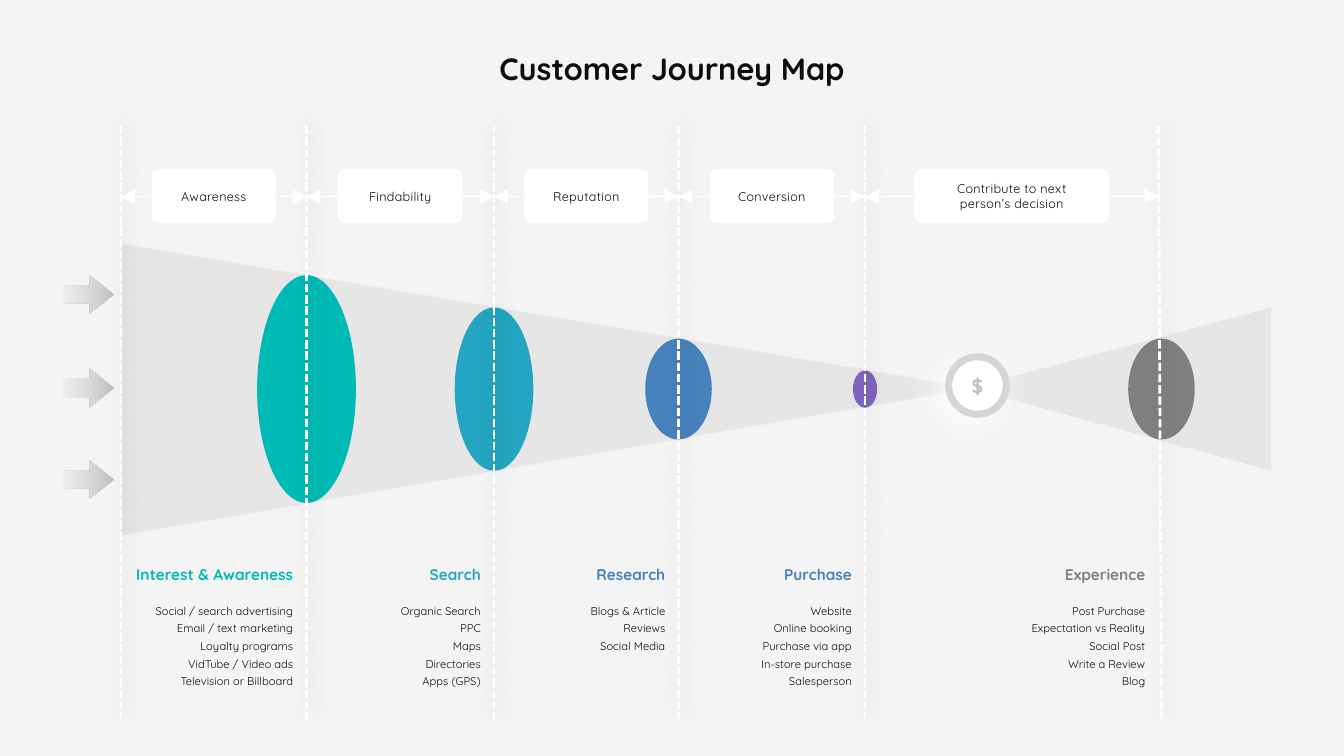
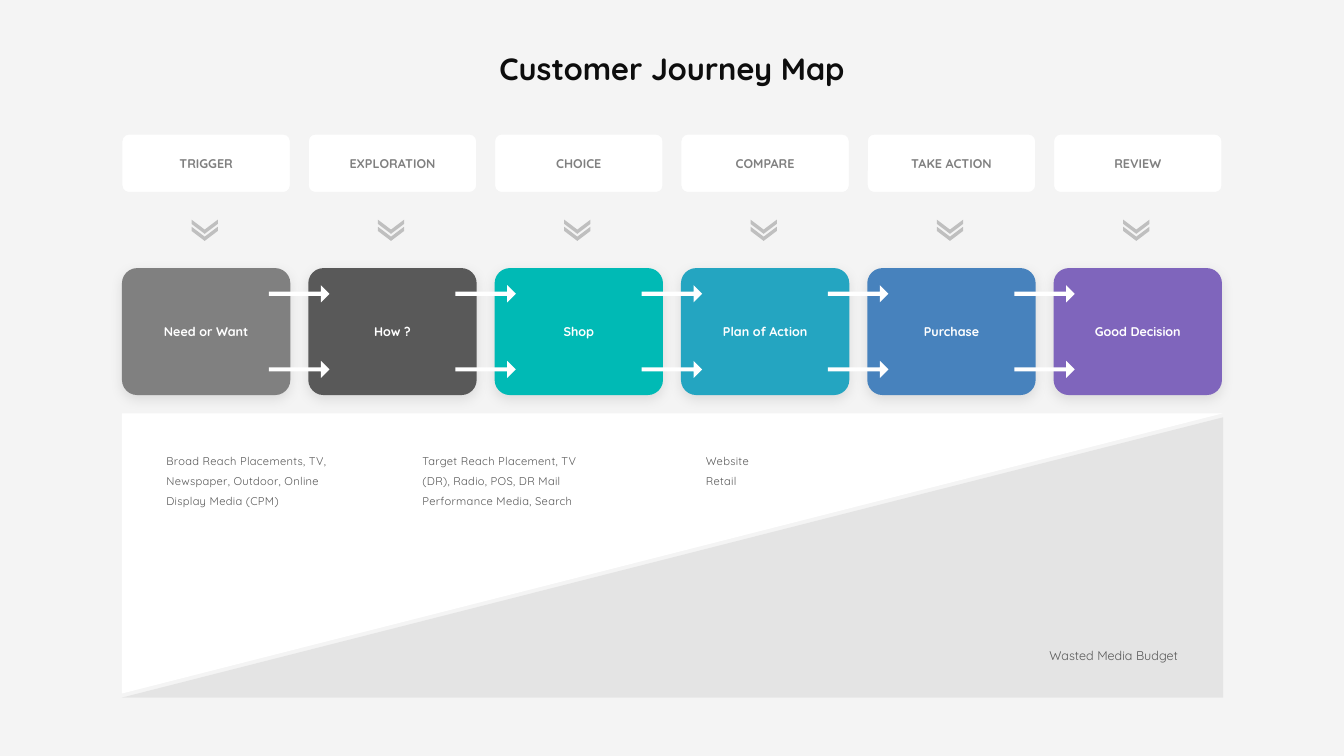
"""Build two customer journey slides: a funnel and a process map."""
from copy import deepcopy
from dataclasses import dataclass
from typing import NamedTuple, Optional, Sequence

from lxml import etree
from pptx import Presentation
from pptx import util as u
from pptx.dml.color import RGBColor
from pptx.enum import dml, shapes, text
from pptx.oxml.ns import qn

BACKDROP = RGBColor(0xF4, 0xF4, 0xF4)
INK = RGBColor(0x0D, 0x0D, 0x0D)
BLACK = RGBColor(0x00, 0x00, 0x00)
WHITE = RGBColor(0xFF, 0xFF, 0xFF)
PALE = RGBColor(0xD9, 0xD9, 0xD9)
RING = RGBColor(0xD6, 0xD4, 0xD4)
SILVER = RGBColor(0xBF, 0xBF, 0xBF)
GREY = RGBColor(0x80, 0x80, 0x80)
CHARCOAL = RGBColor(0x59, 0x59, 0x59)
TEAL = RGBColor(0x00, 0xBA, 0xB5)
CYAN = RGBColor(0x24, 0xA5, 0xC1)
BLUE = RGBColor(0x47, 0x82, 0xBD)
PURPLE = RGBColor(0x7F, 0x65, 0xBC)
FONT = "Quicksand"
FUNNEL_START, FUNNEL_MIDDLE = 1.2, 3.86
COLUMN_LEFT, COLUMN_STEP, COLUMN_WIDTH = 1.21, 9.24 / 5, 1.67
Shape = shapes.MSO_SHAPE
Align = text.PP_ALIGN
Anchor = text.MSO_ANCHOR

class Area(NamedTuple):
    """A rectangle in inches."""
    left: float
    top: float
    width: float
    height: float

class Shadow(NamedTuple):
    """An outer shadow: opacity in percent, lengths in points."""
    color: RGBColor
    opacity: int
    blur: int
    distance: int
    angle: int

@dataclass(frozen=True)
class TextStyle:
    """How the paragraphs of one box look."""
    size: float
    color: RGBColor
    bold: bool = False
    align: Align = Align.CENTER
    anchor: Anchor = Anchor.MIDDLE
    leading: Optional[float] = None
    tracking: int = 0

class Stage(NamedTuple):
    """One funnel stage, ending at a divider."""
    span: str
    span_width: float
    heading: str
    color: RGBColor
    oval: RGBColor
    divider: float
    foot: float
    oval_width: float
    oval_height: float
    items: Sequence[str]

TITLE_STYLE = TextStyle(22, INK, bold=True)
LIST_STYLE = TextStyle(8, INK, align=Align.RIGHT, anchor=Anchor.TOP, leading=12.6)
SPAN_STYLE = TextStyle(9, INK, tracking=20)
MEDIA_STYLE = TextStyle(8, CHARCOAL, align=Align.LEFT, anchor=Anchor.TOP, leading=14, tracking=20)
STAGES = [
    Stage("Awareness", 1.23, "Interest & Awareness", TEAL, TEAL, 3.04, 3.04, 0.98, 2.26,
          ["Social / search advertising", "Email / text marketing", "Loyalty programs",
           "VidTube / Video ads", "Television or Billboard"]),
    Stage("Findability", 1.23, "Search", CYAN, CYAN, 4.9, 4.9, 0.78, 1.62,
          ["Organic Search", "PPC", "Maps", "Directories", "Apps (GPS)"]),
    Stage("Reputation", 1.23, "Research", BLUE, BLUE, 6.73, 6.73, 0.66, 1,
          ["Blogs & Article", "Reviews", "Social Media"]),
    Stage("Conversion", 1.23, "Purchase", BLUE, PURPLE, 8.58, 8.58, 0.24, 0.37,
          ["Website", "Online booking", "Purchase via app", "In-store purchase", "Salesperson"]),
    Stage("Contribute to next\nperson’s decision", 1.93, "Experience", GREY, GREY, 11.49, 11.52, 0.66, 1,
          ["Post Purchase", "Expectation vs Reality", "Social Post", "Write a Review", "Blog"]),
]
STEPS = [
    ("TRIGGER", "Need or Want", GREY), ("EXPLORATION", "How ?", CHARCOAL), ("CHOICE", "Shop", TEAL),
    ("COMPARE", "Plan of Action", CYAN), ("TAKE ACTION", "Purchase", BLUE),
    ("REVIEW", "Good Decision", PURPLE),
]
MEDIA = [
    (1.65, ["Broad Reach Placements, TV, Newspaper, Outdoor, Online Display Media (CPM)"]),
    (4.19, ["Target Reach Placement, TV (DR), Radio, POS, DR Mail Performance Media, Search"]),
    (7, ["Website", "Retail"]),
]

def inches(values: Sequence[float]) -> list:
    """Turn numbers into lengths."""
    return [u.Inches(value) for value in values]

def set_shadow(shape, shadow: Optional[Shadow] = None) -> None:
    """Replace the theme shadow with the given one, or with none."""
    properties = shape._element.spPr
    for old in properties.findall(qn("a:effectLst")):
        properties.remove(old)
    effects = etree.SubElement(properties, qn("a:effectLst"))
    if shadow:
        outer = etree.SubElement(effects, qn("a:outerShdw"), blurRad=str(u.Pt(shadow.blur)),
                                 dist=str(u.Pt(shadow.distance)), dir=str(shadow.angle * 60000),
                                 algn="ctr", rotWithShape="0")
        color = etree.SubElement(outer, qn("a:srgbClr"), val=str(shadow.color))
        etree.SubElement(color, qn("a:alpha"), val=str(shadow.opacity * 1000))

def set_opacity(shape, percent: int) -> None:
    """Make the first fill colour of a shape translucent."""
    color = shape._element.spPr.find(".//" + qn("a:srgbClr"))
    etree.SubElement(color, qn("a:alpha"), val=str(percent * 1000))

def paint(shape, color: RGBColor, opacity: int = 100) -> None:
    """Give a shape a plain fill, no outline and no shadow."""
    shape.fill.solid()
    shape.fill.fore_color.rgb = color
    if opacity < 100:
        set_opacity(shape, opacity)
    shape.line.fill.background()
    set_shadow(shape)

def write(box, lines: Sequence[str], style: TextStyle) -> None:
    """Fill a box with one paragraph per line."""
    frame = box.text_frame
    frame.word_wrap = True
    frame.auto_size = text.MSO_AUTO_SIZE.NONE
    frame.vertical_anchor = style.anchor
    frame.margin_left = frame.margin_right = frame.margin_top = frame.margin_bottom = 0
    frame.text = "\n".join(lines)
    for para in frame.paragraphs:
        para.alignment = style.align
        para.space_before = u.Pt(0)
        if style.leading:
            para.line_spacing = u.Pt(style.leading)
        para.font.name = FONT
        para.font.size = u.Pt(style.size)
        para.font.bold = style.bold
        para.font.color.rgb = style.color
        if style.tracking:
            para._p.get_or_add_pPr().get_or_add_defRPr().set("spc", str(style.tracking))

def add_label(page, area: Area, label: str, style: TextStyle) -> None:
    """Add a one-line text box."""
    write(page.shapes.add_textbox(*inches(area)), [label], style)

def add_block(page, kind: Shape, area: Area, color: RGBColor, opacity: int = 100,
              adjust: Sequence[float] = (), rotation: float = 0):
    """Add a filled preset shape."""
    block = page.shapes.add_shape(kind, *inches(area))
    paint(block, color, opacity)
    for index, value in enumerate(adjust):
        block.adjustments[index] = value
    block.rotation = rotation
    return block

def add_cone(page, points: Sequence) -> None:
    """Add one translucent half of the funnel."""
    start, *rest = [inches(point) for point in points]
    builder = page.shapes.build_freeform(*start)
    builder.add_line_segments(rest, close=True)
    paint(builder.convert_to_shape(), PALE, 50)

def add_line(page, start: Sequence[float], end: Sequence[float], width: float):
    """Add a white straight line."""
    line = page.shapes.add_connector(shapes.MSO_CONNECTOR.STRAIGHT, *inches([*start, *end]))
    line.line.color.rgb = WHITE
    line.line.width = u.Pt(width)
    set_shadow(line)
    return line

def add_divider(page, top_x: float, foot_x: float) -> None:
    """Add a dashed stage divider."""
    line = add_line(page, (top_x, 1.25), (foot_x, 7.13), 2)
    line.line.dash_style = dml.MSO_LINE.SQUARE_DOT
    set_shadow(line, Shadow(BLACK, 14, 12, 3, 315))

def add_span(page, start: float, stage: Stage) -> None:
    """Add a double arrow between dividers with its label in the middle."""
    line = add_line(page, (start, 1.95), (stage.divider, 1.95), 0.75)
    for end in ("a:headEnd", "a:tailEnd"):
        etree.SubElement(line.line._get_or_add_ln(), qn(end), type="triangle", w="lg", len="lg")
    area = Area((start + stage.divider - stage.span_width) / 2, 1.68, stage.span_width, 0.53)
    box = add_block(page, Shape.ROUNDED_RECTANGLE, area, WHITE, adjust=[0.11])
    write(box, stage.span.split("\n"), SPAN_STYLE)

def add_entry_arrow(page, top: float) -> None:
    """Add a fading arrow that leads into the funnel."""
    arrow = add_block(page, Shape.RIGHT_ARROW, Area(0.63, top, 0.49, 0.38), PALE, adjust=[0.46, 0.62])
    arrow.fill.gradient()
    arrow.fill.gradient_angle = 0
    for stop, color, position in zip(arrow.fill.gradient_stops, (PALE, SILVER), (0, 0.99)):
        stop.color.rgb = color
        stop.position = position
    set_opacity(arrow, 26)

def prepare_layout(deck):
    """Set the shared background and unbulleted lists; return a layout with enough lists."""
    master = deck.slide_master
    master.background.fill.solid()
    master.background.fill.fore_color.rgb = BACKDROP
    level = master._element.find(".//" + qn("p:bodyStyle") + "/" + qn("a:lvl1pPr"))
    level.set("marL", "0")
    level.set("indent", "0")
    level.remove(level.find(qn("a:buFont")))
    level.replace(level.find(qn("a:buChar")), etree.Element(qn("a:buNone")))
    layout = deck.slide_layouts[1]
    for number in range(1, len(STAGES)):
        extra = deepcopy(layout.placeholders[1]._element)
        extra.find(".//" + qn("p:ph")).set("idx", str(20 + number))
        extra.find(".//" + qn("p:cNvPr")).set("id", str(30 + number))
        layout.shapes._spTree.append(extra)
    return layout

def add_page(deck, layout, lists: Sequence, style: TextStyle):
    """Add a titled slide with its lists, given as (area, lines) pairs."""
    page = deck.slides.add_slide(layout)
    holders = list(page.placeholders)
    texts = [(Area(4.26, 0.39, 4.81, 0.58), ["Customer Journey Map"], TITLE_STYLE)]
    texts += [(area, lines, style) for area, lines in lists]
    for holder, (area, lines, look) in zip(holders, texts):
        holder.left, holder.top, holder.width, holder.height = inches(area)
        write(holder, lines, look)
    for unused in holders[len(texts):]:
        unused._element.getparent().remove(unused._element)
    return page

def build_funnel(deck, layout) -> None:
    """Build the funnel slide."""
    lists = [(Area(stage.divider - 1.69, 5.95, 1.56, 0.89), stage.items) for stage in STAGES]
    page = add_page(deck, layout, lists, LIST_STYLE)
    add_cone(page, [(9.66, 3.85), (1.21, 2.42), (1.21, 5.31)])
    add_cone(page, [(9.61, 3.85), (12.61, 3.05), (12.61, 4.67)])
    add_divider(page, FUNNEL_START, FUNNEL_START)
    for top in (2.73, 3.66, 4.57):
        add_entry_arrow(page, top)
    start = FUNNEL_START
    for stage in STAGES:
        width, height = stage.oval_width, stage.oval_height
        area = Area(stage.foot - width / 2, FUNNEL_MIDDLE - height / 2, width, height)
        add_block(page, Shape.OVAL, area, stage.oval)
        add_divider(page, stage.divider, stage.foot)
        add_label(page, Area(stage.divider - 1.8, 5.61, 1.67, 0.19), stage.heading,
                  TextStyle(11, stage.color, bold=True, align=Align.RIGHT, anchor=Anchor.TOP))
        add_span(page, start, stage)
        start = stage.divider
    coin = add_block(page, Shape.OVAL, Area(9.41, 3.54, 0.57, 0.57), WHITE)
    coin.line.color.rgb = RING
    coin.line.width = u.Pt(5)
    set_shadow(coin, Shadow(WHITE, 100, 28, 9, 135))
    write(coin, ["$"], TextStyle(14, SILVER, bold=True))

def build_process(deck, layout) -> None:
    """Build the process map slide."""
    lists = [(Area(left, 4.45, 1.67, 0.57), lines) for left, lines in MEDIA]
    page = add_page(deck, layout, lists, MEDIA_STYLE)
    lefts = [COLUMN_LEFT + COLUMN_STEP * index for index in range(len(STEPS))]
    for left, (phase, action, color) in zip(lefts, STEPS):
        tab = add_block(page, Shape.ROUNDED_RECTANGLE, Area(left, 1.33, COLUMN_WIDTH, 0.58), WHITE,
                        adjust=[0.12])
        tab.line.color.rgb = BACKDROP
        tab.line.width = u.Pt(0.75)
        write(tab, [phase], TextStyle(9, GREY, bold=True))
        for top in (2.12, 2.19):
            add_block(page, Shape.CHEVRON, Area(left + 0.75, top, 0.14, 0.26), SILVER,
                      adjust=[0.7], rotation=90)
        card = add_block(page, Shape.ROUNDED_RECTANGLE, Area(left, 2.66, COLUMN_WIDTH, 1.26), color,
                         adjust=[0.12])
        set_shadow(card, Shadow(BLACK, 9, 9, 3, 90))
        write(card, [action], TextStyle(9, WHITE, bold=True))
    for left in lefts[1:]:
        for top in (2.83, 3.58):
            add_block(page, Shape.RIGHT_ARROW, Area(left - 0.39, top, 0.6, 0.17), WHITE, adjust=[0.24, 0.5])
    for top, color, opacity, turn in ((0.03, WHITE, 100, 90), (0.07, PALE, 57, 270)):
        add_block(page, Shape.RIGHT_TRIANGLE, Area(5.28, top, 2.78, 10.92), color, opacity, rotation=turn)
    add_label(page, Area(10.26, 6.43, 1.57, 0.15), "Wasted Media Budget",
              TextStyle(9, CHARCOAL, anchor=Anchor.TOP))
    for holder in list(page.placeholders):
        page.shapes._spTree.append(holder._element)

deck = Presentation()
deck.slide_width, deck.slide_height = inches((13.33, 7.5))
journey_layout = prepare_layout(deck)
build_funnel(deck, journey_layout)
build_process(deck, journey_layout)
deck.save("out.pptx")
